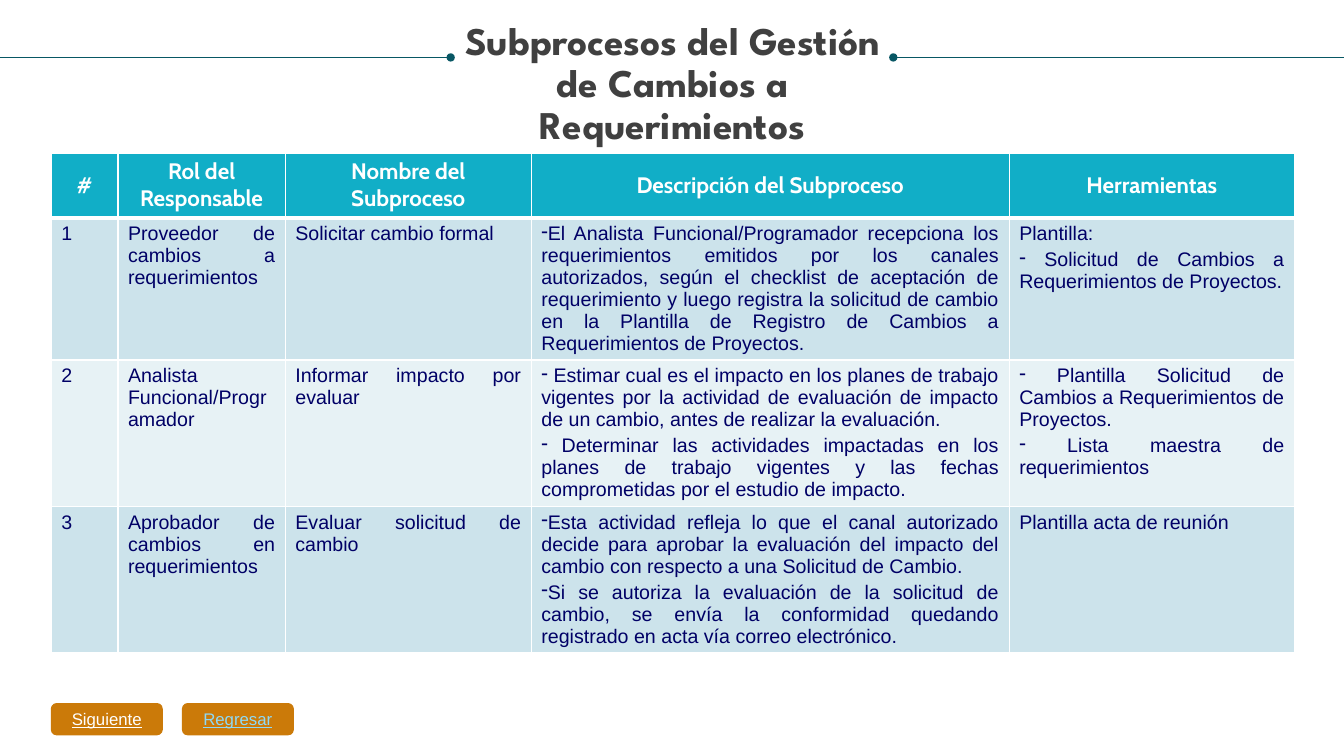
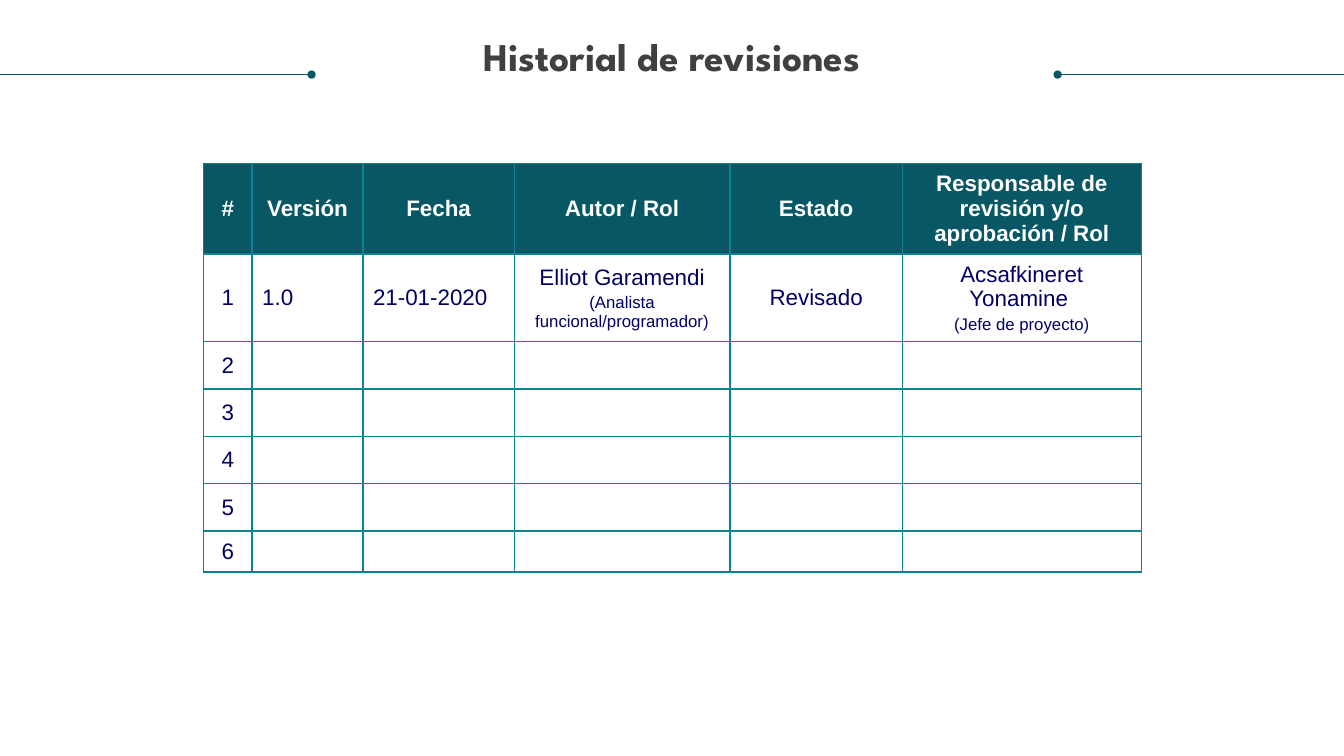
from lxml.etree import SubElement as Sub
from pptx import Presentation
from pptx.dml.color import RGBColor as RGB
from pptx.enum.shapes import MSO_CONNECTOR as LINE, MSO_SHAPE as SHAPE
from pptx.enum.text import MSO_ANCHOR as ANCHOR, MSO_AUTO_SIZE as FIT, PP_ALIGN as ALIGN
from pptx.oxml.ns import qn
from pptx.util import Inches, Pt

HEX = {
    "white": "FFFFFF", "title": "404040", "ink": "000066", "teal": "085764",
    "edge": "0D8295", "head": "11AEC7", "odd": "CCE3EB", "even": "E7F2F5",
    "button": "CB7A09", "link": "8ED9F6",
}
WIDE, HIGH = 13.33, 7.5

STEPS = [
    ["#", "Rol del Responsable", "Nombre del Subproceso",
     "Descripción del Subproceso", "Herramientas"],
    ["1", "Proveedor de cambios a requerimientos", "Solicitar cambio formal",
     "-El Analista Funcional/Programador recepciona los requerimientos emitidos "
     "por los canales autorizados, según el checklist de aceptación de "
     "requerimiento y luego registra la solicitud de cambio en la Plantilla de "
     "Registro de Cambios a Requerimientos de Proyectos.",
     "Plantilla:\n- Solicitud de Cambios a Requerimientos de Proyectos."],
    ["2", "Analista Funcional/Programador", "Informar impacto por evaluar",
     "- Estimar cual es el impacto en los planes de trabajo vigentes por la "
     "actividad de evaluación de impacto de un cambio, antes de realizar la "
     "evaluación.\n- Determinar las actividades impactadas en los planes de "
     "trabajo vigentes y las fechas comprometidas por el estudio de impacto.",
     "- Plantilla Solicitud de Cambios a Requerimientos de Proyectos.\n"
     "- Lista maestra de requerimientos"],
    ["3", "Aprobador de cambios en requerimientos", "Evaluar solicitud de cambio",
     "-Esta actividad refleja lo que el canal autorizado decide para aprobar la "
     "evaluación del impacto del cambio con respecto a una Solicitud de Cambio.\n"
     "-Si se autoriza la evaluación de la solicitud de cambio, se envía la "
     "conformidad quedando registrado en acta vía correo electrónico.",
     "Plantilla acta de reunión"],
]
LOG = [
    ["#", "Versión", "Fecha", "Autor / Rol", "Estado",
     "Responsable de revisión y/o aprobación / Rol"],
    ["1", "1.0", "21-01-2020", "Elliot Garamendi\n(Analista funcional/programador)",
     "Revisado", "Acsafkineret Yonamine \n(Jefe de proyecto)"],
] + [[str(n)] + [""] * 5 for n in range(2, 7)]


def color(name):
    return RGB.from_string(HEX[name])


def style(para, size, ink, font="Arial", bold=False, align=ALIGN.CENTER):
    para.alignment = align
    for run in para.runs:
        face = run.font
        face.name, face.size, face.bold = font, Pt(size), bold
        face.color.rgb = color(ink)


def bullet(para):
    """Turn a leading hyphen into a bullet without indent."""
    para.text = para.text[1:]
    props = para._p.get_or_add_pPr()
    props.set("marL", "0")
    props.set("indent", "0")
    Sub(props, qn("a:buChar"), char="-")


def border(cell, name, widths):
    """Draw the left, right, top and bottom edges of a cell."""
    props = cell._tc.get_or_add_tcPr()
    for side, width in zip("LRTB", widths):
        edge = Sub(props, qn(f"a:ln{side}"), w=str(Pt(width)))
        Sub(Sub(edge, qn("a:solidFill")), qn("a:srgbClr"), val=HEX[name])


def rule(slide, start, stop, top, end):
    """Thin line with a dot at one end."""
    line = slide.shapes.add_connector(
        LINE.STRAIGHT, Inches(start), Inches(top), Inches(stop), Inches(top))
    line.line.color.rgb = color("teal")
    line.line.width = Pt(0.5)
    Sub(line.line._get_or_add_ln(), qn(f"a:{end}"), type="oval")
    Sub(line._element.spPr, qn("a:effectLst"))


def header(slide, text, box, left, right, top):
    """Centred title between two dotted lines."""
    title = slide.shapes.title
    title.left, title.top, title.width, title.height = map(Inches, box)
    frame = title.text_frame
    frame.text = text
    frame.word_wrap, frame.auto_size = True, FIT.NONE
    frame.vertical_anchor = ANCHOR.TOP
    frame.margin_left = frame.margin_right = frame.margin_top = frame.margin_bottom = 0
    para = frame.paragraphs[0]
    para.line_spacing = 0.9
    style(para, 28, "title", "League Spartan", True)
    rule(slide, 0, left, top, "tailEnd")
    rule(slide, right, WIDE, top, "headEnd")


def grid(slide, left, top, cols, rows, data, paint):
    """Table whose cells are finished by paint(cell, row, col)."""
    table = slide.shapes.add_table(
        len(rows), len(cols), Inches(left), Inches(top),
        Inches(sum(cols)), Inches(sum(rows))).table
    table.horz_banding = False
    for col, width in zip(table.columns, cols):
        col.width = Inches(width)
    for row, height in zip(table.rows, rows):
        row.height = Inches(height)
    for r, texts in enumerate(data):
        for c, text in enumerate(texts):
            cell = table.cell(r, c)
            cell.text = text
            paint(cell, r, c)


def step(cell, r, c):
    """Cell of the subprocess table."""
    border(cell, "white", (1, 1, 3 if r == 1 else 1, 3 if r == 0 else 1))
    cell.fill.solid()
    cell.fill.fore_color.rgb = color("head" if r == 0 else "odd" if r % 2 else "even")
    cell.vertical_anchor = ANCHOR.TOP if r else ANCHOR.MIDDLE
    for i, para in enumerate(cell.text_frame.paragraphs):
        if para.text.startswith("-"):
            bullet(para)
        if r:
            style(para, 14, "ink", align=ALIGN.JUSTIFY)
        else:
            style(para, 16, "white", "Cabin", True)
        if i:
            para.space_before = Pt(2.8)


def entry(cell, r, c):
    """Cell of the revision table."""
    border(cell, "edge", (1, 1, 1, 1))
    if r:
        cell.fill.background()
    else:
        cell.fill.solid()
        cell.fill.fore_color.rgb = color("teal")
    cell.vertical_anchor = ANCHOR.MIDDLE
    align = ALIGN.LEFT if r and c in (1, 2) else ALIGN.CENTER
    for i, para in enumerate(cell.text_frame.paragraphs):
        style(para, 12 if i else 16, "ink" if r else "white", bold=r == 0, align=align)
        if i:
            para.space_before = Pt(2.4)


def button(slide, left, top, text, ink):
    shape = slide.shapes.add_shape(
        SHAPE.FLOWCHART_ALTERNATE_PROCESS,
        Inches(left), Inches(top), Inches(1.1), Inches(0.31))
    shape.shadow.inherit = False
    shape.fill.solid()
    shape.fill.fore_color.rgb = shape.line.color.rgb = color("button")
    shape.line.width = Pt(0.75)
    frame = shape.text_frame
    frame.text = text
    frame.word_wrap = False
    frame.vertical_anchor = ANCHOR.MIDDLE
    style(frame.paragraphs[0], 12, ink)
    frame.paragraphs[0].runs[0].font.underline = True


def process(slide):
    header(slide, "Subprocesos del Gestión de Cambios a Requerimientos",
           (4.47, 0.21, 4.4, 1.7), 4.47, 8.86, 0.57)
    grid(slide, 0.51, 1.52, (0.66, 1.66, 2.44, 4.74, 2.83),
         (0.64, 1.41, 1.45, 1.45), STEPS, step)
    for i, (text, ink) in enumerate((("Siguiente", "white"), ("Regresar", "link"))):
        button(slide, 0.51 + 1.3 * i, 6.98, text, ink)


def history(slide):
    header(slide, "Historial de revisiones",
           (0.25, 0.37, 12.83, 0.42), 3.09, 10.49, 0.74)
    grid(slide, 2.02, 1.62, (0.48, 1.1, 1.5, 2.14, 1.71, 2.37),
         (0.9, 0.87) + (0.47,) * 4 + (0.4,), LOG, entry)


def main():
    deck = Presentation()
    deck.slide_width, deck.slide_height = Inches(WIDE), Inches(HIGH)
    for build in (process, history):
        build(deck.slides.add_slide(deck.slide_layouts[5]))
    deck.save("out.pptx")


if __name__ == "__main__":
    main()
